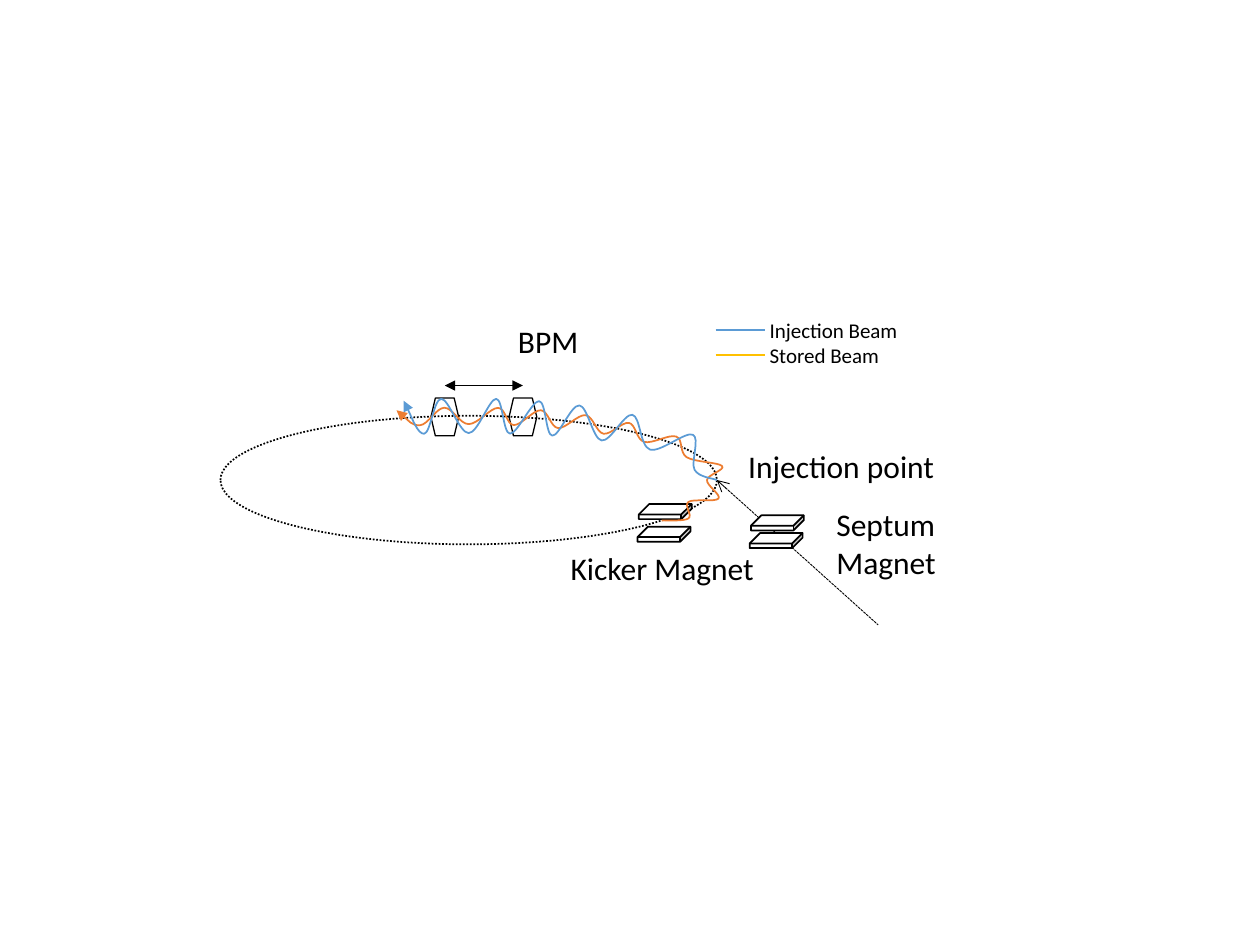
from math import cos, radians, sin

from lxml import etree
from pptx import Presentation
from pptx import util as u
from pptx.dml.color import RGBColor
from pptx.enum import dml, shapes, text
from pptx.oxml.ns import qn

BLACK, WHITE, BLUE, ORANGE, GOLD = "000000", "FFFFFF", "5B9BD5", "ED7D31", "FFC000"
SHAPE, DASH = shapes.MSO_SHAPE, dml.MSO_LINE

RING_X, RING_Y, RADIUS_X, RADIUS_Y = 3.72, 3.81, 1.97, 0.51
RING_RIGHT = RING_X + RADIUS_X

STORED_TURNS = (-39, -34, -21, -16, 0, 12, 22, 39, 40, 54,
                53, 65, 66, 75, 78, 84, 90, 95, 103, 105)
INJECTED_TURNS = (0, 10, 38, 33, 57, 49, 69, 64, 77, 77, 85, 90, 95, 104, 102)


def rgb(value):
    return RGBColor.from_string(value)


def ring_point(degrees, scale=1):
    t = radians(degrees)
    return RING_X + RADIUS_X * scale * cos(t), RING_Y - RADIUS_Y * scale * sin(t)


def wave(turns, side, base, growth):
    points = [ring_point(turns[0])]
    for degrees in turns[1:]:
        swing = base + growth * sin(radians(degrees)) ** 2
        points.append(ring_point(degrees, 1 + side * swing))
        side = -side
    return points


def smooth_controls(points):
    padded = [points[0], *points, points[-1]]
    controls = [points[0]]
    for before, start, end, after in zip(padded, padded[1:], padded[2:], padded[3:]):
        leave = [s + (e - b) / 6 for b, s, e in zip(before, start, end)]
        arrive = [e - (a - s) / 6 for s, e, a in zip(start, end, after)]
        controls += [leave, arrive, end]
    return controls


def write(tf, words, size=18, color=BLACK, font="Calibri", align=None):
    p = tf.paragraphs[0]
    p.alignment = align
    r = p.add_run()
    r.text = words
    r.font.name, r.font.size = font, u.Pt(size)
    r.font.color.rgb = rgb(color)


class Board:
    columns = 10

    def __init__(self, prs):
        self.cell = prs.slide_width / self.columns
        self.s = prs.slides.add_slide(prs.slide_layouts[6])

    def grid(self, *cells):
        return [round(c * self.cell) for c in cells]

    def stroke(self, sp, color, width, dash=None, head=None, tail=None):
        sp.line.color.rgb = rgb(color)
        sp.line.width = u.Pt(width)
        if dash:
            sp.line.dash_style = dash
        ln = sp.line._get_or_add_ln()
        for tag, kind in (("a:headEnd", head), ("a:tailEnd", tail)):
            if kind:
                etree.SubElement(ln, qn(tag), type=kind)

    def shape(self, kind, x, y, w, h, fill=None, width=1, dash=None, adj=None):
        sp = self.s.shapes.add_shape(kind, *self.grid(x, y, w, h))
        sp.shadow.inherit = False
        if adj is not None:
            sp.adjustments[0] = adj
        if fill:
            sp.fill.solid()
            sp.fill.fore_color.rgb = rgb(fill)
        else:
            sp.fill.background()
        self.stroke(sp, BLACK, width, dash)

    def ring(self):
        self.shape(SHAPE.OVAL, RING_X - RADIUS_X, RING_Y - RADIUS_Y,
                   2 * RADIUS_X, 2 * RADIUS_Y, dash=DASH.ROUND_DOT)

    def plate(self, x, y):
        self.shape(SHAPE.CUBE, x, y, 0.42, 0.12, fill=WHITE, adj=0.69)

    def monitor(self, center):
        w = 0.22
        self.shape(SHAPE.HEXAGON, center - w / 2, 3.16, w, 0.3, width=0.75, adj=0.16)

    def line(self, x1, y1, x2, y2, color=BLACK, width=0.5, **ends):
        sp = self.s.shapes.add_connector(
            shapes.MSO_CONNECTOR.STRAIGHT, *self.grid(x1, y1, x2, y2))
        etree.SubElement(sp._element.spPr, qn("a:effectLst"))
        self.stroke(sp, color, width, **ends)

    def beam(self, points, color):
        start, *rest = [self.grid(*point) for point in smooth_controls(points)]
        builder = self.s.shapes.build_freeform(*start)
        builder.add_line_segments(rest, close=False)
        sp = builder.convert_to_shape()
        path = next(sp._element.iter(qn("a:path")))
        segments = path.findall(qn("a:lnTo"))
        for i in range(0, len(segments), 3):
            bezier = etree.SubElement(path, qn("a:cubicBezTo"))
            for segment in segments[i:i + 3]:
                bezier.append(segment[0])
                path.remove(segment)
        sp.shadow.inherit = False
        sp.fill.background()
        self.stroke(sp, color, 1, tail="triangle")

    def label(self, words, x, y, w, h=0.4, wrap=True, **style):
        tf = self.s.shapes.add_textbox(*self.grid(x, y, w, h)).text_frame
        tf.word_wrap = wrap
        tf.auto_size = text.MSO_AUTO_SIZE.SHAPE_TO_FIT_TEXT
        write(tf, words, **style)


def main():
    prs = Presentation()
    prs.slide_width, prs.slide_height = u.Inches(10), u.Inches(7.5)
    board = Board(prs)
    monitors = (3.53, 4.15)

    board.ring()
    board.plate(5.07, 4)
    for center in monitors:
        board.monitor(center)
    board.beam(wave(STORED_TURNS, side=1, base=0.04, growth=0.09), ORANGE)
    board.beam(wave(INJECTED_TURNS, side=-1, base=0.07, growth=0.2), BLUE)
    board.line(monitors[0], 3.06, monitors[1], 3.06, head="triangle", tail="triangle")
    board.line(RING_RIGHT, RING_Y, 6.97, 4.96, dash=DASH.SQUARE_DOT, head="arrow")
    for x, y in ((5.95, 4.23), (5.06, 4.18), (5.96, 4.09)):
        board.plate(x, y)

    for i, (name, color) in enumerate((("Injection Beam", BLUE), ("Stored Beam", GOLD))):
        y = 2.62 + 0.2 * i
        board.line(5.68, y, 6.07, y, color, 1)
        board.label(name, 6.01, y - 0.15, 1.34, 0.3, size=12)
    board.label("BPM", 4.01, 2.51, 0.68, wrap=False, align=text.PP_ALIGN.CENTER)
    board.label("Injection point", 5.84, 3.5, 1.83)
    board.label("Kicker Magnet", 4.43, 4.31, 1.83)
    board.label("Septum Magnet", 6.54, 3.96, 1.13, 0.71)

    prs.save("out.pptx")


if __name__ == "__main__":
    main()
